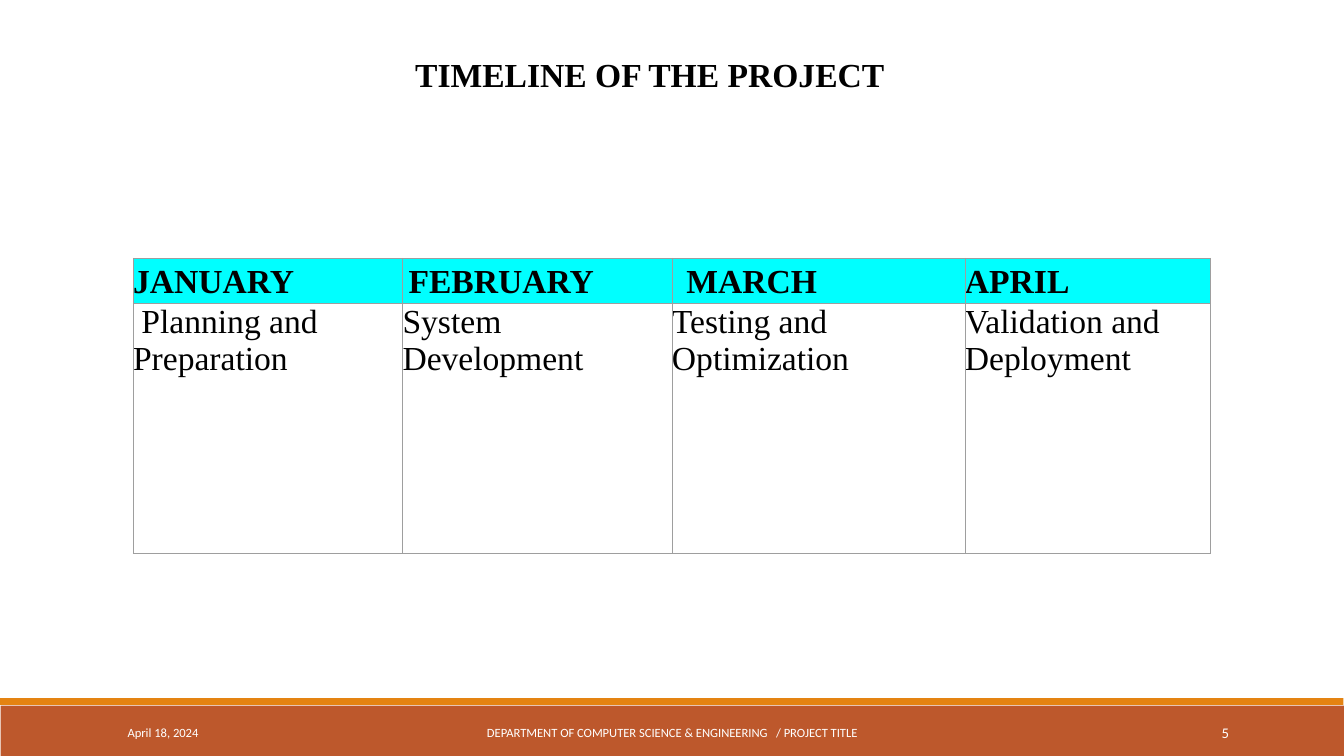
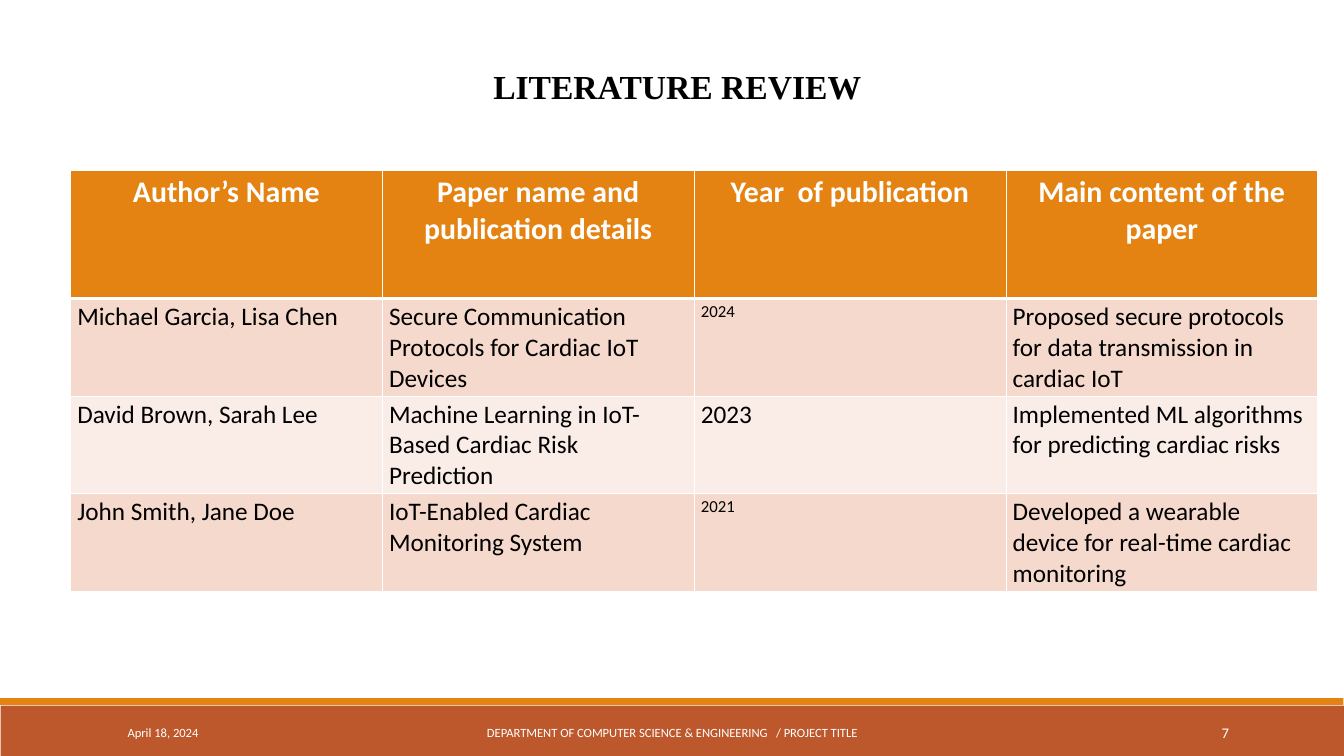
from dataclasses import dataclass

from lxml import etree
from pptx import Presentation
from pptx.dml.color import RGBColor
from pptx.enum import shapes, text
from pptx.oxml import ns
from pptx.util import Inches, Pt

LEFT, CENTER, RIGHT = text.PP_ALIGN.LEFT, text.PP_ALIGN.CENTER, text.PP_ALIGN.RIGHT


@dataclass(frozen=True)
class Theme:
    rust: str = "BD582C"
    orange: str = "E48312"
    cyan: str = "00FFFF"
    peach: str = "F5D9CC"
    blush: str = "FAEDE7"
    gray: str = "9E9E9E"
    white: str = "FFFFFF"
    black: str = "000000"
    serif: str = "Times New Roman"
    sans: str = "Calibri"
    title_size: float = 36
    header_size: float = 32
    body_size: float = 27
    small_size: float = 18
    footer_size: float = 13.5
    number_size: float = 15.8


T = Theme()

DATE = "April 18, 2024"
DEPARTMENT = "DEPARTMENT OF COMPUTER SCIENCE & ENGINEERING   / PROJECT TITLE"

TIMELINE = [
    ["JANUARY", "FEBRUARY", " MARCH", "APRIL"],
    [" Planning and Preparation", "System Development",
     "Testing and Optimization", "Validation and Deployment"],
]
INDENTED_MONTHS = ("FEBRUARY", " MARCH")

REVIEW = [
    ["Author’s Name", "Paper name and publication details",
     "Year  of publication", "Main content of the paper"],
    ["Michael Garcia, Lisa Chen", "Secure Communication Protocols for Cardiac IoT Devices",
     "2024", "Proposed secure protocols for data transmission in cardiac IoT"],
    ["David Brown, Sarah Lee", "Machine Learning in IoT-Based Cardiac Risk Prediction",
     "2023", "Implemented ML algorithms for predicting cardiac risks"],
    ["John Smith, Jane Doe", "IoT-Enabled Cardiac Monitoring System",
     "2021", "Developed a wearable device for real-time cardiac monitoring"],
]
SMALL_YEARS = ("2024", "2021")


def rgb(color):
    return RGBColor.from_string(color)


def write(frame, words, size, font, color, bold=False, align=LEFT, indent=0):
    """Fill the first paragraph of a text frame and return it."""
    paragraph = frame.paragraphs[0]
    paragraph.alignment = align
    if indent:
        paragraph._p.get_or_add_pPr().set("marL", str(Inches(indent)))
    run = paragraph.add_run()
    run.text = words
    run.font.size, run.font.name, run.font.bold = Pt(size), font, bold
    run.font.color.rgb = rgb(color)
    return paragraph


def add_text_box(slide, box, wrap=True, anchor=text.MSO_ANCHOR.TOP):
    frame = slide.shapes.add_textbox(*map(Inches, box)).text_frame
    frame.word_wrap = wrap
    frame.vertical_anchor = anchor
    return frame


def add_title(slide, words, box, wrap=True, **layout):
    frame = add_text_box(slide, box, wrap)
    frame.auto_size = text.MSO_AUTO_SIZE.SHAPE_TO_FIT_TEXT
    return write(frame, words, T.title_size, T.serif, T.black, bold=True, **layout)


def add_page(deck, number):
    """Add a blank slide with the two bottom bands and the footer."""
    slide = deck.slides.add_slide(deck.slide_layouts[6])
    for box, color in (((0.01, 10.5, 19.99, 0.75), T.rust),
                       ((0, 10.39, 19.99, 0.1), T.orange)):
        band = slide.shapes.add_shape(shapes.MSO_SHAPE.RECTANGLE, *map(Inches, box))
        band.shadow.inherit = False
        band.fill.solid()
        band.fill.fore_color.rgb = rgb(color)
        band.line.fill.background()
    for words, left, width, size, align in (
            (DATE, 1.8, 4.06, T.footer_size, LEFT),
            (DEPARTMENT, 6.05, 7.91, T.footer_size, CENTER),
            (str(number), 16.24, 2.15, T.number_size, RIGHT)):
        frame = add_text_box(slide, (left, 10.6, width, 0.6), anchor=text.MSO_ANCHOR.MIDDLE)
        write(frame, words, size, T.sans, T.white, align=align)
    return slide


def set_borders(cell, color, widths):
    """Draw the cell sides; widths maps L, R, T and B to points. Call before filling."""
    properties = cell._tc.get_or_add_tcPr()
    for side, width in widths.items():
        line = etree.SubElement(properties, ns.qn(f"a:ln{side}"), w=str(Pt(width)))
        fill = etree.SubElement(line, ns.qn("a:solidFill"))
        etree.SubElement(fill, ns.qn("a:srgbClr"), val=color)


def add_grid(slide, left, top, widths, heights, rows, border, rule, header_rule, style):
    """Add a table; style(row, words) gives fill, margins and text format of a cell."""
    frame = slide.shapes.add_table(len(rows), len(widths), Inches(left), Inches(top),
                                   Inches(sum(widths)), Inches(sum(heights)))
    table = frame.table
    table.first_row = table.horz_banding = False
    for column, width in zip(table.columns, widths):
        column.width = Inches(width)
    for r, (height, row) in enumerate(zip(heights, rows)):
        table.rows[r].height = Inches(height)
        for c, words in enumerate(row):
            cell = table.cell(r, c)
            fill, margins, look = style(r, words)
            set_borders(cell, border, {"L": rule, "R": rule,
                                       "T": header_rule if r == 1 else rule,
                                       "B": header_rule if r == 0 else rule})
            if fill:
                cell.fill.solid()
                cell.fill.fore_color.rgb = rgb(fill)
            else:
                cell.fill.background()
            (cell.margin_left, cell.margin_top,
             cell.margin_right, cell.margin_bottom) = map(Inches, margins)
            write(cell.text_frame, words, **look)


def timeline_style(row, words):
    header = row == 0
    look = dict(size=T.title_size, font=T.serif, color=T.black, bold=header,
                indent=0.09 if words in INDENTED_MONTHS else 0)
    return T.cyan if header else None, (0, 0.08 if header else 0, 0, 0), look


def review_style(row, words):
    margins = (0.1, 0.05, 0.1, 0.05)
    if row == 0:
        return T.orange, margins, dict(size=T.header_size, font=T.sans, color=T.white,
                                       bold=True, align=CENTER)
    size = T.small_size if words in SMALL_YEARS else T.body_size
    return (T.peach if row % 2 else T.blush, margins,
            dict(size=size, font=T.sans, color=T.black))


def add_timeline(deck):
    slide = add_page(deck, 5)
    add_title(slide, "TIMELINE OF THE PROJECT", (6.08, 0.76, 7.26, 0.71), wrap=False)
    add_grid(slide, 1.98, 3.84, [4.01, 4.01, 4.36, 3.65], [0.68, 3.71], TIMELINE,
             T.gray, 0.75, 0.75, timeline_style)


def add_review(deck):
    slide = add_page(deck, 7)
    title = add_title(slide, "LITERATURE REVIEW", (0.61, 0.63, 18.44, 0.9),
                      align=CENTER, indent=0.5)
    title.level = 1
    title.line_spacing = 1.5
    add_grid(slide, 1.05, 2.54, [4.64] * 4, [1.9] + [1.45] * 3, REVIEW,
             T.white, 1, 3, review_style)


def main():
    deck = Presentation()
    deck.slide_width, deck.slide_height = Inches(20), Inches(11.25)
    add_timeline(deck)
    add_review(deck)
    deck.save("out.pptx")


if __name__ == "__main__":
    main()
